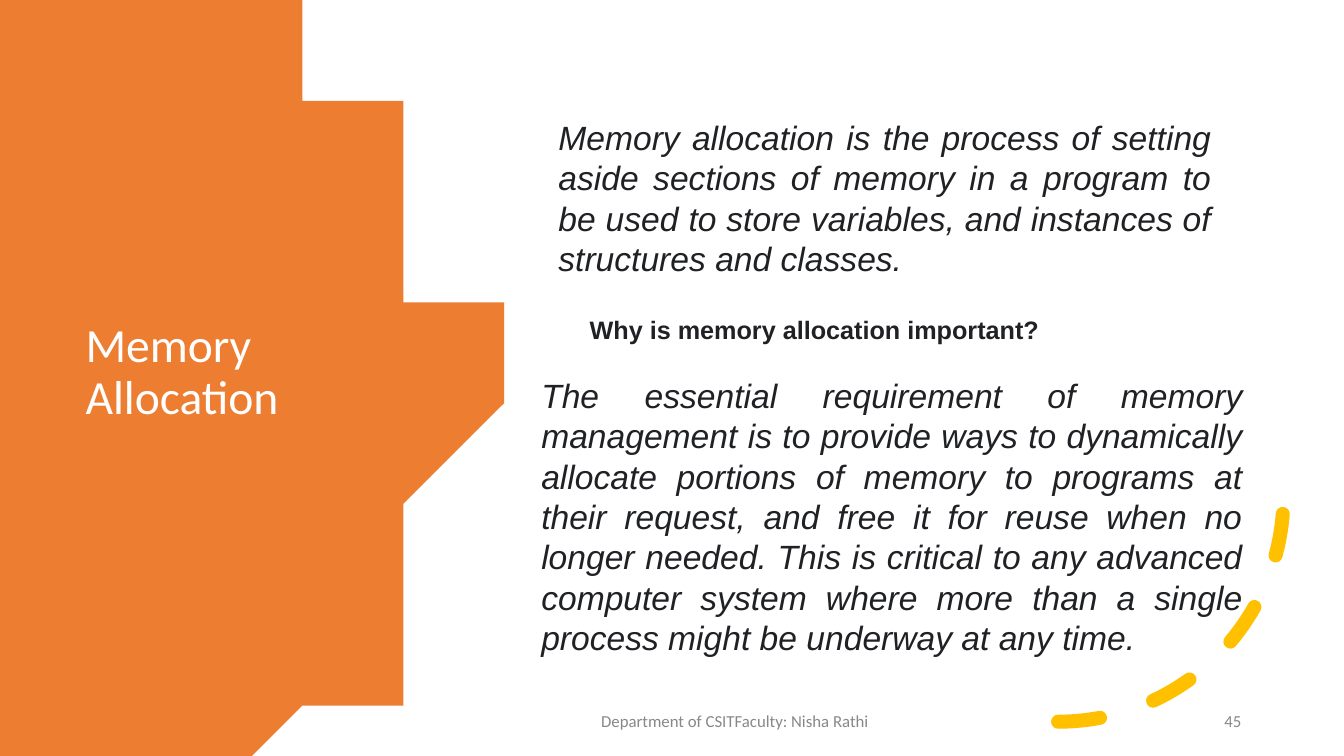
from math import asin, cos, sin
from pptx import Presentation
from pptx.dml.color import RGBColor
from pptx.enum.dml import MSO_LINE
from pptx.enum.shapes import MSO_SHAPE
from pptx.enum.text import MSO_ANCHOR, PP_ALIGN
from pptx.util import Inches, Pt

# Content: text, box (left, top, width, height), style
TEXTS = [
    ("Memory Allocation", (0.75, 1.26, 3.5, 4.88), "title"),
    ("Department of CSITFaculty: Nisha Rathi", (4.42, 6.95, 5.74, 0.4), "footer"),
    ("45", (10.43, 6.95, 1.98, 0.4), "number"),
    ("Memory allocation is the process of setting aside sections of memory in a "
     "program to be used to store variables, and instances of structures and classes.",
     (5.44, 1.11, 6.67, 1.72), "body"),
    ("Why is memory allocation important?", (5.75, 3.07, 6.67, 0.4), "head"),
    ("The essential requirement of memory management is to provide ways to "
     "dynamically allocate portions of memory to programs at their request, and "
     "free it for reuse when no longer needed. This is critical to any advanced "
     "computer system where more than a single process might be underway at any time.",
     (5.27, 3.67, 7.15, 2.93), "body"),
]
WIDTH, HEIGHT = 13.33, 7.5
DISC = {"x": 0.15, "radius": 4.41, "steps": 80}
ARC = (8.26, 2.69, 4.47, 4.47)

# Theme: colours, and font, size, colour, bold, italic, align, anchor, spacing
LEFT, MID, RIGHT, JUST = (PP_ALIGN.LEFT, PP_ALIGN.CENTER,
                          PP_ALIGN.RIGHT, PP_ALIGN.JUSTIFY)
TOP, CENTRE = MSO_ANCHOR.TOP, MSO_ANCHOR.MIDDLE
THEME = {
    "disc": "ED7D31",
    "arc": "FFC000",
    "title": ("Calibri", 34, "FFFFFF", False, False, LEFT, CENTRE, 0.9),
    "footer": ("Calibri", 12, "888888", False, False, MID, CENTRE, 1.0),
    "number": ("Calibri", 12, "888888", False, False, RIGHT, CENTRE, 1.0),
    "body": ("Arial", 24, "202124", False, True, JUST, TOP, 1.0),
    "head": ("Arial", 18, "202124", True, False, LEFT, TOP, 1.0),
}


def tint(name):
    return RGBColor.from_string(name)


def add_disc(slide):
    """Orange disc cut off by the slide's left, top and bottom edges."""
    mid, rad, steps = HEIGHT / 2, DISC["radius"], DISC["steps"]
    half = asin(mid / rad)
    turns = [half * (2 * i / steps - 1) for i in range(steps + 1)]
    rim = [(DISC["x"] + rad * cos(t), mid + rad * sin(t)) for t in turns]
    pen = slide.shapes.build_freeform(0, 0, scale=Inches(1))
    pen.add_line_segments(rim + [(0, HEIGHT)], close=True)
    disc = pen.convert_to_shape()
    disc.shadow.inherit = False
    disc.fill.solid()
    disc.fill.fore_color.rgb = tint(THEME["disc"])
    disc.line.fill.background()


def add_arc(slide):
    """Dashed arc, turned to run from the bottom to the right."""
    arc = slide.shapes.add_shape(MSO_SHAPE.ARC, *map(Inches, ARC))
    arc.shadow.inherit = False
    arc.fill.background()
    arc.line.color.rgb = tint(THEME["arc"])
    arc.line.width = Pt(10)
    arc.line.dash_style = MSO_LINE.DASH
    arc.line._get_or_add_ln().set("cap", "rnd")
    arc.rotation = 180
    arc._element.spPr.xfrm.set("flipH", "1")


def add_text(slide, text, box, style):
    face, size, color, bold, slant, align, anchor, space = THEME[style]
    frame = slide.shapes.add_textbox(*map(Inches, box)).text_frame
    frame.word_wrap = True
    frame.vertical_anchor = anchor
    para = frame.paragraphs[0]
    para.alignment = align
    para.line_spacing = space
    run = para.add_run()
    run.text = text
    font = run.font
    font.name, font.size = face, Pt(size)
    font.bold, font.italic = bold, slant
    font.color.rgb = tint(color)


def main():
    deck = Presentation()
    deck.slide_width, deck.slide_height = Inches(WIDTH), Inches(HEIGHT)
    slide = deck.slides.add_slide(deck.slide_layouts[6])
    # Shapes at the back, text in front
    add_disc(slide)
    add_arc(slide)
    for text, box, style in TEXTS:
        add_text(slide, text, box, style)
    deck.save("out.pptx")


if __name__ == "__main__":
    main()
